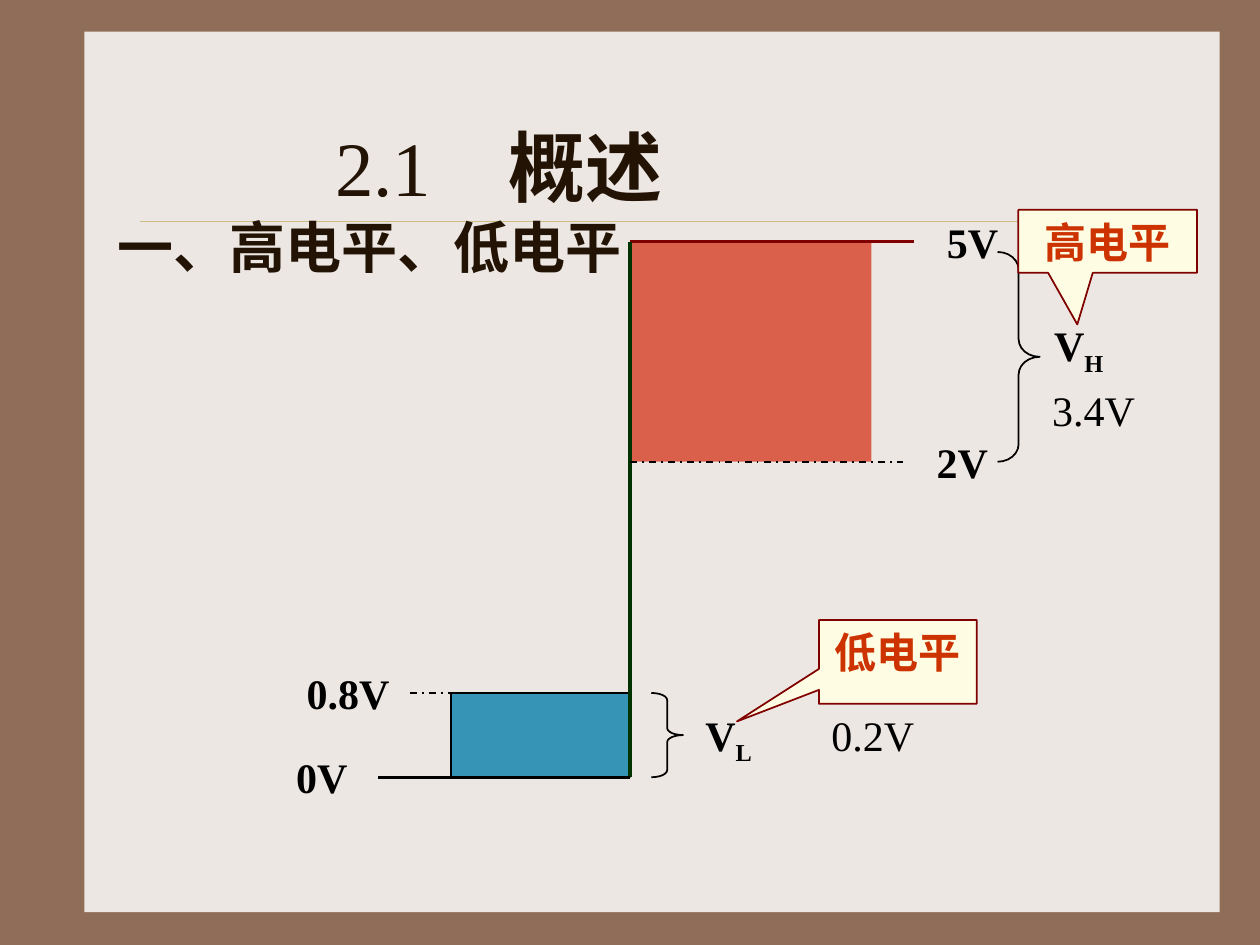
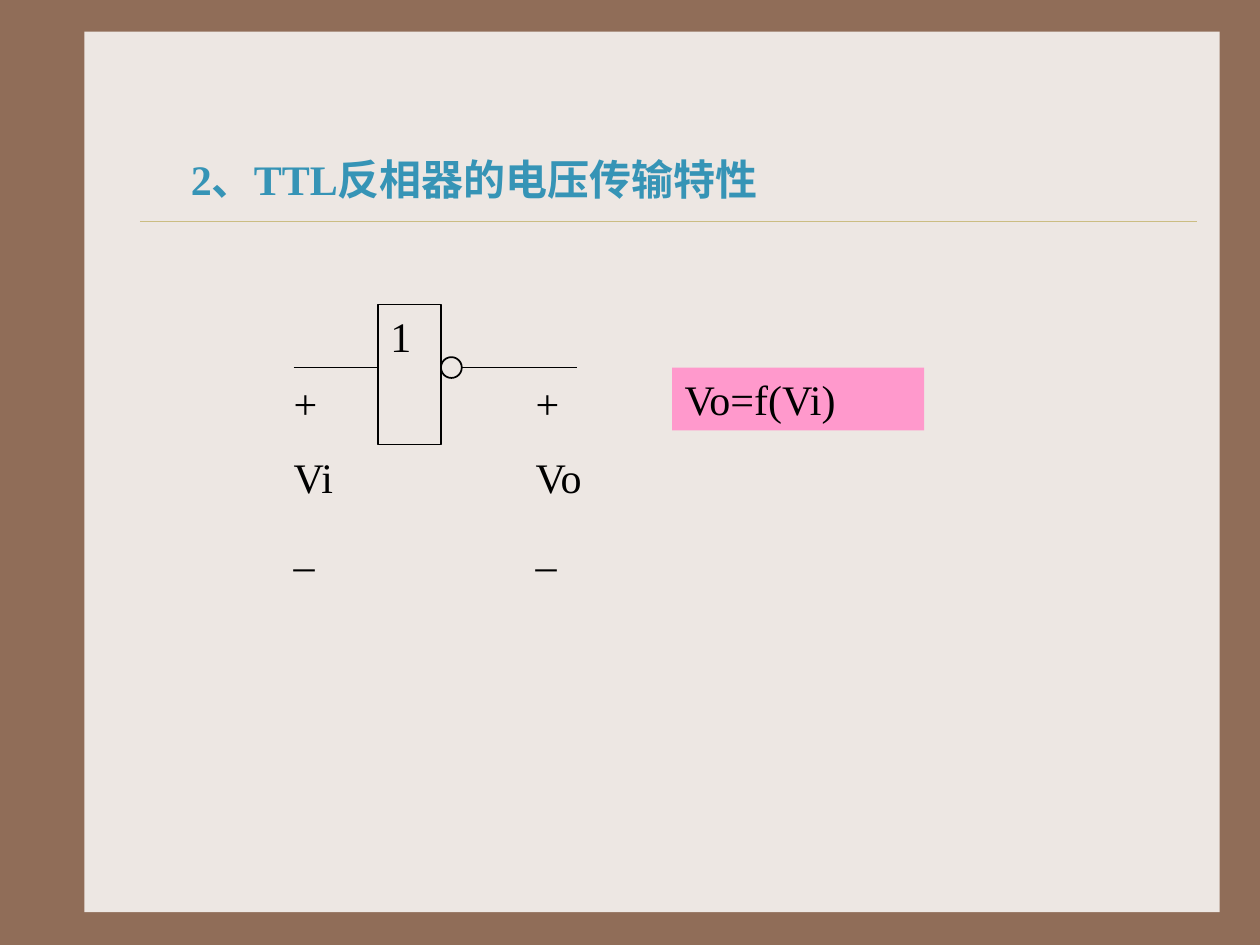
from lxml import etree
from pptx import Presentation
from pptx import util as u
from pptx.dml.color import RGBColor
from pptx.enum import dml, shapes, text
from pptx.oxml import ns

BROWN = RGBColor(0x90, 0x6D, 0x58)
PAPER = RGBColor(0xED, 0xE7, 0xE3)
GOLD = RGBColor(0xCB, 0xBD, 0x83)
INK = RGBColor(0x22, 0x13, 0x04)
BLACK = RGBColor(0x00, 0x00, 0x00)
BLUE = RGBColor(0x36, 0x94, 0xB6)
CORAL = RGBColor(0xDA, 0x60, 0x4C)
MAROON = RGBColor(0x80, 0x00, 0x00)
GREEN = RGBColor(0x00, 0x33, 0x00)
CREAM = RGBColor(0xFE, 0xFD, 0xE3)
ORANGE = RGBColor(0xCC, 0x33, 0x00)
PINK = RGBColor(0xFF, 0x99, 0xCC)
LATIN, CHINESE = "Times New Roman", "Noto Sans CJK SC"
RECT = shapes.MSO_SHAPE.RECTANGLE
LEFT, CENTER = text.PP_ALIGN.LEFT, text.PP_ALIGN.CENTER


def style_font(font, size=24, color=BLACK, bold=False, latin=LATIN):
    """Set size, colour, weight and both typefaces of a font."""
    font.size, font.bold, font.name = u.Pt(size), bold, latin
    font.color.rgb = color
    east = etree.SubElement(font._element if hasattr(font, "_element") else font._rPr, ns.qn("a:ea"))
    east.set("typeface", CHINESE)


def write(box, lines, align=LEFT, inset=None, **style):
    """Fill a box with top-anchored paragraphs of one style."""
    frame = box.text_frame
    frame.word_wrap = True
    frame.vertical_anchor = text.MSO_ANCHOR.TOP
    if inset is not None:
        frame.margin_left = frame.margin_right = inset
        frame.margin_top = frame.margin_bottom = inset
    for index, line in enumerate(lines):
        para = frame.paragraphs[0] if index == 0 else frame.add_paragraph()
        para.alignment = align
        if index:
            para.space_before = u.Pt(13)
        para.add_run().text = line
        style_font(para.font, **style)
    return box


def add_label(page, left, top, width, height, *lines, **style):
    """Add a text box."""
    box = page.shapes.add_textbox(u.Cm(left), u.Cm(top), u.Cm(width), u.Cm(height))
    return write(box, lines, **style)


def add_figure(page, kind, left, top, width, height, fill=None, line=None, adjust=()):
    """Add a flat preset shape."""
    figure = page.shapes.add_shape(kind, u.Cm(left), u.Cm(top), u.Cm(width), u.Cm(height))
    figure.shadow.inherit = False
    if fill is None:
        figure.fill.background()
    else:
        figure.fill.solid()
        figure.fill.fore_color.rgb = fill
    if line is None:
        figure.line.fill.background()
    else:
        figure.line.color.rgb = line
        figure.line.width = u.Pt(1)
    for index, value in enumerate(adjust):
        figure.adjustments[index] = value
    return figure


def add_line(page, x1, y1, x2, y2, color=BLACK, width=1, dashed=False):
    """Add a straight line without a shadow."""
    line = page.shapes.add_connector(
        shapes.MSO_CONNECTOR.STRAIGHT, u.Cm(x1), u.Cm(y1), u.Cm(x2), u.Cm(y2))
    line.line.color.rgb = color
    line.line.width = u.Pt(width)
    if dashed:
        line.line.dash_style = dml.MSO_LINE.DASH_DOT
    etree.SubElement(line._element.spPr, ns.qn("a:effectLst"))


def add_symbol(page, left, top, subscript):
    """Add a bold V with a subscript."""
    box = add_label(page, left, top, 1.85, 1.27, "V", bold=True)
    span = box.text_frame.paragraphs[0].add_run()
    span.text = subscript
    span.font._element.set("baseline", "-25000")


def add_brace(page, left, top, width, height, curl):
    """Add a right brace."""
    add_figure(page, shapes.MSO_SHAPE.RIGHT_BRACE, left, top, width, height,
               line=BLACK, adjust=(curl, 0.5))


def add_callout(page, left, top, width, height, name, tip):
    """Add a callout that names a level."""
    box = add_figure(page, shapes.MSO_SHAPE.RECTANGULAR_CALLOUT, left, top, width, height,
                     CREAM, MAROON, tip)
    write(box, [name], align=CENTER, color=ORANGE, bold=True)


def add_page(deck):
    """Add a slide with the framed paper and the title rule."""
    page = deck.slides.add_slide(deck.slide_layouts[6])
    page.background.fill.solid()
    page.background.fill.fore_color.rgb = BROWN
    add_figure(page, RECT, 1.7, 0.64, 22.89, 17.75, PAPER)
    add_line(page, 2.82, 4.45, 24.13, 4.45, GOLD, 0.25)
    return page


def add_overview_title(page):
    """Add the chapter title with its section heading."""
    box = page.shapes.add_textbox(u.Cm(2.12), u.Cm(1.7), u.Cm(15.88), u.Cm(4.65))
    frame = box.text_frame
    frame.word_wrap = True
    frame.vertical_anchor = text.MSO_ANCHOR.MIDDLE
    title, section = frame.paragraphs[0], frame.add_paragraph()
    title.alignment = CENTER
    for words, bold in (("2.1　", False), ("概述", True)):
        span = title.add_run()
        span.text = words
        style_font(span.font, 44, INK, bold)
    section.add_run().text = "一、高电平、低电平"
    style_font(section.font, 32, INK, True, CHINESE)


def build_levels(deck):
    """Build the slide on high and low logic levels."""
    page = add_page(deck)
    axis, supply, high, low, ground = 12.7, 4.87, 9.31, 13.97, 15.67
    add_figure(page, RECT, 9.1, low, axis - 9.1, ground - low, BLUE, BLACK)
    add_figure(page, RECT, axis, supply, 4.87, high - supply, CORAL)
    add_line(page, axis, supply, 18.42, supply, MAROON, 1.5)
    add_line(page, axis, supply, axis, ground, GREEN, 2.25)
    add_line(page, 7.62, ground, axis, ground, width=1.5)
    add_line(page, axis, high, 18.21, high, dashed=True)
    add_line(page, 8.26, low, axis, low, dashed=True)
    for name, left, level, width in (("5V", 18.84, supply, 1.9), ("2V", 18.63, high, 1.7),
                                     ("0V", 5.72, ground, 1.9), ("0.8V", 5.93, low, 2.54)):
        add_label(page, left, level - 0.64, width, 1.27, name, bold=True)
    add_brace(page, 20.11, 5.08, 0.85, 4.23, 0.417)
    add_symbol(page, 21, 6.32, "H")
    add_brace(page, 13.13, low, 0.64, ground - low, 0.222)
    add_symbol(page, 13.97, 14.17, "L")
    add_overview_title(page)
    add_callout(page, 16.51, 12.5, 3.18, 1.69, "低电平", (-1.02, 0.71))
    add_callout(page, 20.53, 4.23, 3.6, 1.27, "高电平", (-0.17, 1.32))
    add_label(page, 20.96, 7.62, 2.54, 1.27, "3.4V")
    add_label(page, 16.51, 14.17, 2.75, 1.27, "0.2V")


def build_inverter(deck):
    """Build the slide on the inverter's transfer characteristic."""
    page = add_page(deck)
    add_label(page, 3.6, 2.97, 19.69, 1.27, "2、TTL反相器的电压传输特性",
              align=text.PP_ALIGN.JUSTIFY, color=BLUE, bold=True)
    wire = 7.41
    add_line(page, 5.92, wire, 7.62, wire)
    gate = add_figure(page, RECT, 7.62, 6.14, 1.27, 2.82, line=BLACK)
    write(gate, ["1"])
    add_figure(page, shapes.MSO_SHAPE.OVAL, 8.89, wire - 0.21, 0.42, 0.42, line=BLACK)
    add_line(page, 9.31, wire, 11.64, wire)
    for left, width, name in ((5.92, 0.85, "Vi"), (10.8, 1.48, "Vo")):
        add_label(page, left, 7.62, width, 4.06, "+", name, "_", inset=0)
    formula = add_figure(page, RECT, 13.55, wire, 5.08, 1.27, PINK)
    write(formula, ["Vo=f(Vi)"])


def main():
    """Build and save the deck."""
    deck = Presentation()
    deck.slide_width, deck.slide_height = u.Cm(25.4), u.Cm(19.05)
    build_levels(deck)
    build_inverter(deck)
    deck.save("out.pptx")


if __name__ == "__main__":
    main()
